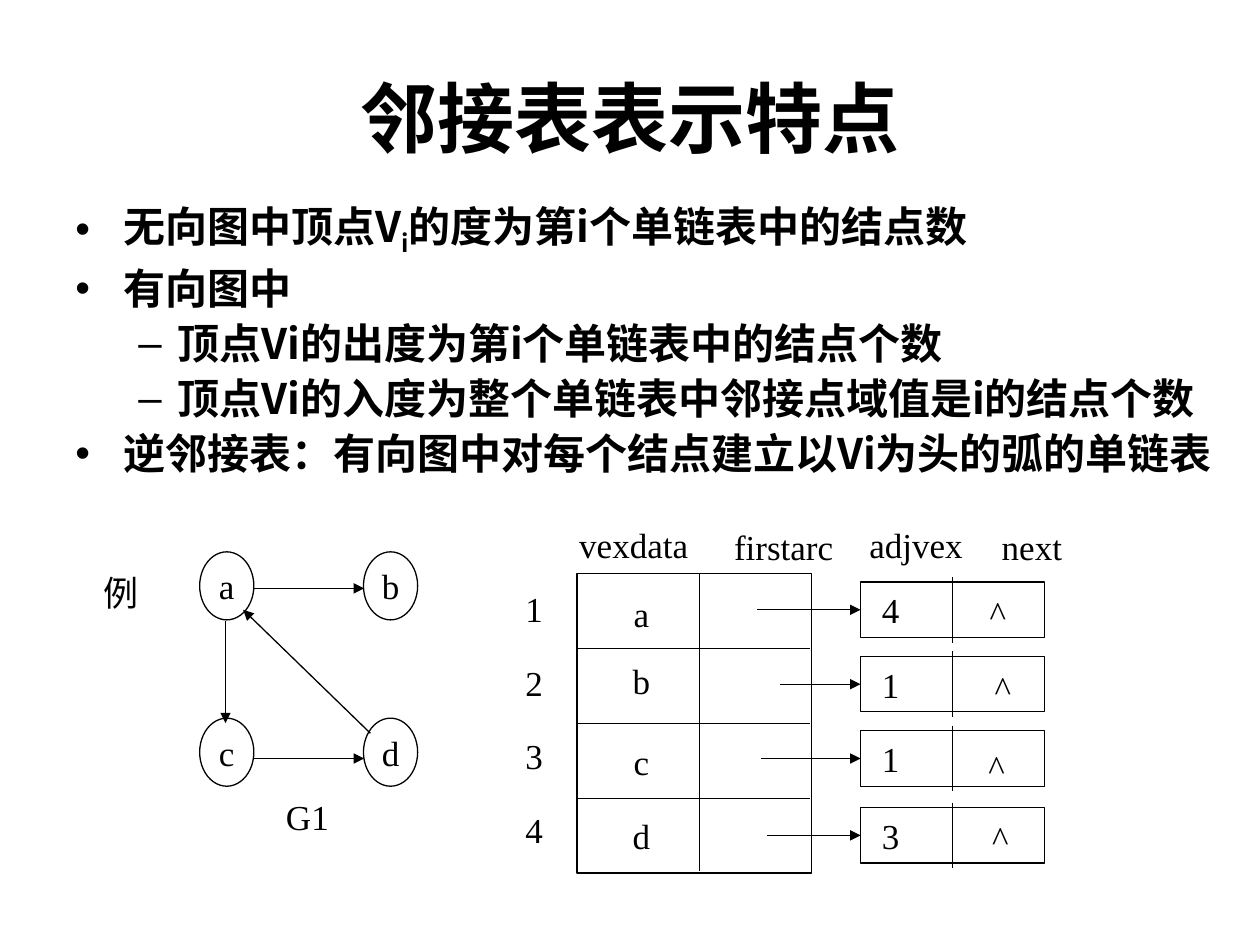
import copy

import pptx
import pptx.util
import pptx.dml.color
import pptx.enum.shapes
import pptx.enum.text
import pptx.oxml.ns
import lxml.etree

BLACK = pptx.dml.color.RGBColor(0, 0, 0)
LATIN, CJK = "Times New Roman", "Noto Sans CJK SC"
SHAPE = pptx.enum.shapes.MSO_SHAPE
ALIGN = pptx.enum.text.PP_ALIGN
qn = pptx.oxml.ns.qn

prs = pptx.Presentation()
prs.slide_width = pptx.util.Inches(10)
prs.slide_height = pptx.util.Inches(7.5)
U = prs.slide_width / 100  # grid unit: one hundredth of the slide width
s = prs.slides.add_slide(prs.slide_layouts[6])


def box(text, cx, cy, w=6, h=4.4, kind=None, size=20, font=LATIN):
    """Add a text box, or an outlined shape of the given kind, centred on a grid point."""
    at = [round(v * U) for v in (cx - w / 2, cy - h / 2, w, h)]
    if kind is None:
        sp = s.shapes.add_textbox(*at)
    else:
        sp = s.shapes.add_shape(kind, *at)
        sp.shadow.inherit = False
        sp.fill.background()
        sp.line.color.rgb = BLACK
        sp.line.width = pptx.util.Pt(0.75)
    tf = sp.text_frame
    tf.word_wrap = False
    tf.vertical_anchor = pptx.enum.text.MSO_ANCHOR.MIDDLE
    tf.text = text
    for p in tf.paragraphs:
        p.alignment = ALIGN.CENTER
        for r in p.runs:
            r.font.size = pptx.util.Pt(size)
            r.font.name = font
            r.font.bold = font == CJK
            r.font.color.rgb = BLACK
            ea = lxml.etree.SubElement(r._r.get_or_add_rPr(), qn("a:ea"))
            ea.set("typeface", CJK)
    return sp


def line(x1, y1, x2, y2, arrow=False):
    c = s.shapes.add_connector(pptx.enum.shapes.MSO_CONNECTOR.STRAIGHT,
                               *[round(v * U) for v in (x1, y1, x2, y2)])
    c.line.color.rgb = BLACK
    c.line.width = pptx.util.Pt(0.75)
    if arrow:
        tail = lxml.etree.SubElement(c.line._get_or_add_ln(), qn("a:tailEnd"))
        tail.set("type", "triangle")
    lxml.etree.SubElement(c._element.spPr, qn("a:effectLst"))
    return c


# Title and bullets
title = box("邻接表表示特点", 50, 9.25, 90, 12.5, size=44, font=CJK)
title.text_frame.word_wrap = True

bullets = [
    (0, "无向图中顶点V"),
    (0, "有向图中"),
    (1, "顶点Vi的出度为第i个单链表中的结点个数"),
    (1, "顶点Vi的入度为整个单链表中邻接点域值是i的结点个数"),
    (0, "逆邻接表：有向图中对每个结点建立以Vi为头的弧的单链表"),
]
body = box("\n".join(text for level, text in bullets), 52.5, 43.8, 95, 56.4, size=24, font=CJK)
tf = body.text_frame
tf.word_wrap = True
tf.vertical_anchor = pptx.enum.text.MSO_ANCHOR.TOP
for p, (level, text) in zip(tf.paragraphs, bullets):
    p.level = level
    p.alignment = ALIGN.LEFT
    p.line_spacing = pptx.util.Pt(31.5)
    indent, hang, mark = [(3.8, 3.8, "•"), (8.1, 3.1, "–")][level]
    pPr = p._p.get_or_add_pPr()
    pPr.set("marL", str(round(indent * U)))
    pPr.set("indent", str(round(-hang * U)))
    lxml.etree.SubElement(pPr, qn("a:buFont")).set("typeface", "Arial")
    lxml.etree.SubElement(pPr, qn("a:buChar")).set("char", mark)

# The first bullet goes on with a subscript and the rest of the sentence
p = tf.paragraphs[0]
for text, baseline in [("i", "-25000"), ("的度为第i个单链表中的结点数", "0")]:
    p._p.append(copy.deepcopy(p.runs[0]._r))
    r = p.runs[-1]
    r.text = text
    r._r.get_or_add_rPr().set("baseline", baseline)

# Directed graph
for text, cx, cy in [("例", 9.6, 47), ("G1", 24.4, 64.8)]:
    box(text, cx, cy)
for i, name in enumerate("abcd"):
    box(name, 18 + 13 * (i % 2), 46.5 + 13.2 * (i // 2), 4.3, 5.4, SHAPE.OVAL)
for edge in [(20.1, 46.7, 28.9, 46.7), (20.1, 60.2, 28.9, 60.2),
             (17.9, 49.3, 17.9, 57.4), (29.4, 58.2, 19.3, 48.4)]:
    line(*edge, arrow=True)

# Vertex array
LEFT, TOP, WIDTH, ROW = 45.8, 45.5, 18.6, 5.95
box("", LEFT + WIDTH / 2, TOP + 2 * ROW, WIDTH, 4 * ROW, SHAPE.RECTANGLE)
for i in range(1, 4):
    line(LEFT - 0.1, TOP + i * ROW, LEFT + WIDTH - 0.1, TOP + i * ROW)
line(55.5, TOP, 55.5, TOP + 4 * ROW - 0.2)
for text, cx, cy in [("vexdata", 50.3, 43.2), ("firstarc", 62.2, 43.4),
                     ("adjvex", 72.7, 43.2), ("next", 81.9, 43.4)]:
    box(text, cx, cy, 11.6)

# One row per vertex: name, its y, arrow start, arc node's value and y, null mark's x and y
rows = [
    ("a", 48.7, 60.1, "4", 48.4, 79.2, 48.6),
    ("b", 54.0, 61.9, "1", 54.3, 79.6, 54.6),
    ("c", 60.4, 60.4, "1", 60.2, 79.1, 60.8),
    ("d", 66.3, 60.9, "3", 66.3, 79.4, 66.5),
]
for i, (name, name_y, start, value, y, null_x, null_y) in enumerate(rows):
    box(str(i + 1), 42.4, 48.3 + 5.85 * i)
    box(name, 50.9, name_y)
    node = box(value, 75.6, y, 14.6, 4.4, SHAPE.RECTANGLE)
    node.text_frame.paragraphs[0].alignment = ALIGN.LEFT
    node.text_frame.margin_left = round(1.7 * U)
    line(75.6, y - 2.6, 75.6, y + 2.6)
    line(start, y, 68.3, y, arrow=True).end_connect(node, 1)
    box("^", null_x, null_y)

prs.save("out.pptx")
